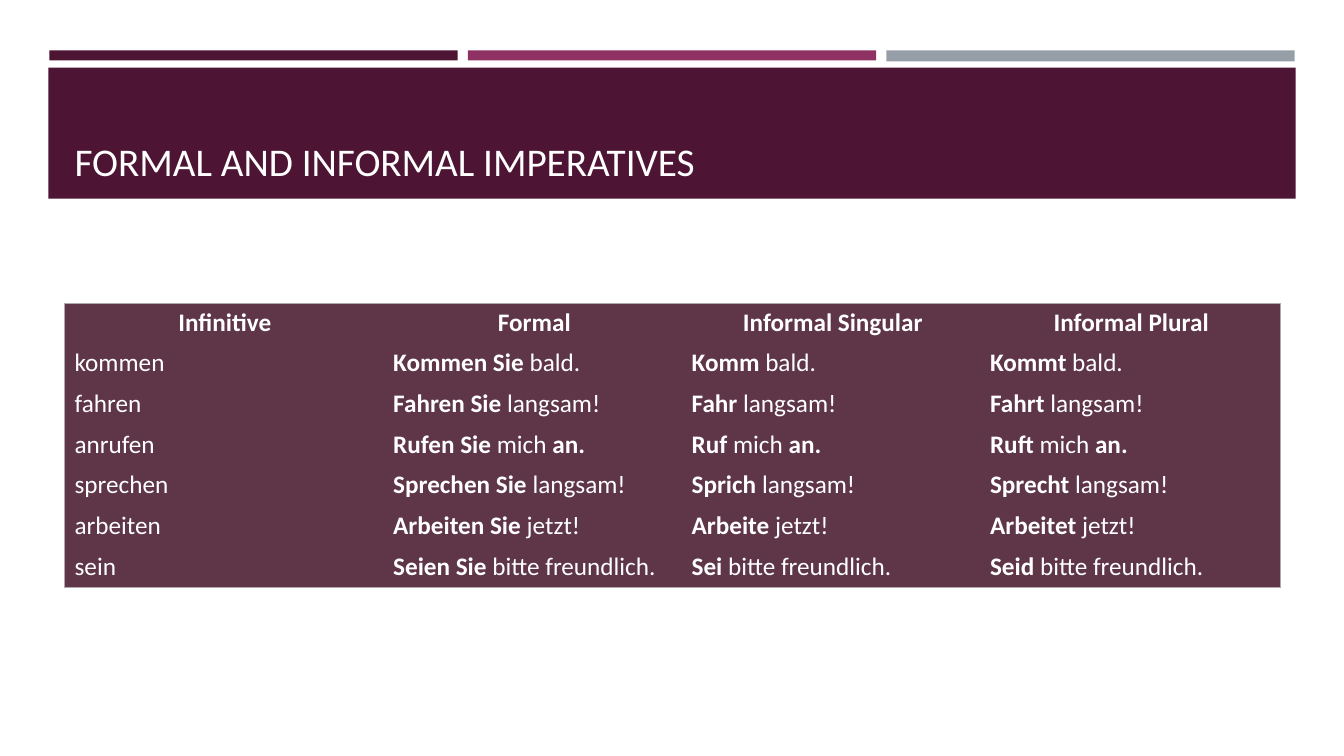
from dataclasses import dataclass

from lxml.etree import SubElement
from pptx import Presentation
from pptx.dml.color import RGBColor
from pptx.enum.shapes import MSO_SHAPE
from pptx.enum.text import MSO_ANCHOR, MSO_AUTO_SIZE, PP_ALIGN
from pptx.oxml.ns import qn
from pptx.shapes.autoshape import Shape
from pptx.slide import Slide
from pptx.table import Table, _Cell
from pptx.text.text import _Paragraph
from pptx.util import Inches, Pt

PLUM = RGBColor(0x4D, 0x14, 0x34)
MAGENTA = RGBColor(0x90, 0x31, 0x63)
GRAY = RGBColor(0x96, 0x9F, 0xA7)
TABLE_FILL = RGBColor(0x5E, 0x36, 0x48)
BORDER = RGBColor(0xB0, 0xA9, 0xAC)
WHITE = RGBColor(0xFF, 0xFF, 0xFF)
FONT = "Calibri"
NO_BREAK_SPACE = chr(160)


@dataclass(frozen=True)
class Band:
    left: float
    top: float
    width: float
    height: float
    color: RGBColor


@dataclass(frozen=True)
class Verb:
    infinitive: str
    imperatives: tuple[str, str, str]
    ending: str
    prefix: str = ""


BANDS = [
    Band(0.49, 0.5, 4.05, 0.1, PLUM),
    Band(4.64, 0.5, 4.05, 0.1, MAGENTA),
    Band(8.79, 0.5, 4.05, 0.11, GRAY),
    Band(0.48, 0.67, 12.37, 1.3, PLUM),
]
HEADINGS = ["Infinitive", "Formal", "Informal Singular", "Informal Plural"]
VERBS = [
    Verb("kommen", ("Kommen Sie", "Komm", "Kommt"), "bald."),
    Verb("fahren", ("Fahren Sie", "Fahr", "Fahrt"), "langsam!"),
    Verb("anrufen", ("Rufen Sie", "Ruf", "Ruft"), "mich" + NO_BREAK_SPACE, "an."),
    Verb("sprechen", ("Sprechen Sie", "Sprich", "Sprecht"), "langsam!"),
    Verb("arbeiten", ("Arbeiten Sie", "Arbeite", "Arbeitet"), "jetzt!"),
    Verb("sein", ("Seien Sie", "Sei", "Seid"), "bitte freundlich."),
]
COLUMN_WIDTHS = [3.18, 2.96, 2.96, 2.96]
ROW_HEIGHTS = [0.38] + [0.4] * len(VERBS)


def add_band(page: Slide, band: Band) -> Shape:
    box = page.shapes.add_shape(
        MSO_SHAPE.RECTANGLE,
        Inches(band.left), Inches(band.top), Inches(band.width), Inches(band.height),
    )
    box.shadow.inherit = False
    box.fill.solid()
    box.fill.fore_color.rgb = band.color
    box.line.fill.background()
    return box


def add_span(para: _Paragraph, text: str, size: int, bold: bool = False) -> None:
    span = para.add_run()
    span.text = text
    span.font.name = FONT
    span.font.size = Pt(size)
    span.font.bold = bold
    span.font.color.rgb = WHITE


def set_insets(cell: _Cell, left: float, right: float, vertical: float) -> None:
    cell.margin_left, cell.margin_right = Inches(left), Inches(right)
    cell.margin_top = cell.margin_bottom = Inches(vertical)


def set_borders(cell: _Cell, outer_sides: dict[str, bool]) -> None:
    """Draw the sides on the table's edge and hide the others."""
    properties = cell._tc.get_or_add_tcPr()
    for position, (side, is_outer) in enumerate(outer_sides.items()):
        line = SubElement(properties, qn(f"a:ln{side}"), w=str(Pt(1)))
        properties.insert(position, line)
        if is_outer:
            fill = SubElement(line, qn("a:solidFill"))
            SubElement(fill, qn("a:srgbClr"), val=str(BORDER))
        else:
            SubElement(line, qn("a:noFill"))


def fill_text(table: Table) -> None:
    for column, heading in enumerate(HEADINGS):
        cell = table.cell(0, column)
        set_insets(cell, 0.06, 0.06, 0.04)
        para = cell.text_frame.paragraphs[0]
        para.alignment = PP_ALIGN.CENTER
        add_span(para, heading, 18, bold=True)
    for row, verb in enumerate(VERBS, start=1):
        add_span(table.cell(row, 0).text_frame.paragraphs[0], verb.infinitive, 18)
        for column, imperative in enumerate(verb.imperatives, start=1):
            cell = table.cell(row, column)
            set_insets(cell, 0.08, 0.1, 0.05)
            para = cell.text_frame.paragraphs[0]
            add_span(para, imperative + NO_BREAK_SPACE, 18, bold=True)
            add_span(para, verb.ending, 18)
            if verb.prefix:
                add_span(para, verb.prefix, 18, bold=True)


def add_verb_table(page: Slide) -> None:
    rows, columns = len(ROW_HEIGHTS), len(COLUMN_WIDTHS)
    table = page.shapes.add_table(
        rows, columns, Inches(0.64), Inches(3.01),
        Inches(sum(COLUMN_WIDTHS)), Inches(sum(ROW_HEIGHTS)),
    ).table
    table.horz_banding = False
    for column, width in zip(table.columns, COLUMN_WIDTHS):
        column.width = Inches(width)
    for row, height in zip(table.rows, ROW_HEIGHTS):
        row.height = Inches(height)
    fill_text(table)
    for row in range(rows):
        for column in range(columns):
            cell = table.cell(row, column)
            cell.fill.solid()
            cell.fill.fore_color.rgb = TABLE_FILL
            set_borders(cell, {
                "L": column == 0, "R": column == columns - 1,
                "T": row == 0, "B": row == rows - 1,
            })


def main() -> None:
    deck = Presentation()
    deck.slide_width, deck.slide_height = Inches(13.33), Inches(7.5)
    page = deck.slides.add_slide(deck.slide_layouts[5])
    title = page.shapes.title

    # Bands, placed behind the title
    for band in BANDS:
        title.element.addprevious(add_band(page, band).element)

    # Title
    title.left, title.top = Inches(0.64), Inches(0.77)
    title.width, title.height = Inches(12.06), Inches(1.11)
    frame = title.text_frame
    frame.auto_size = MSO_AUTO_SIZE.NONE
    frame.vertical_anchor = MSO_ANCHOR.BOTTOM
    para = frame.paragraphs[0]
    para.alignment = PP_ALIGN.LEFT
    add_span(para, "FORMAL AND INFORMAL IMPERATIVES", 28)

    # Table of imperatives
    add_verb_table(page)
    deck.save("out.pptx")


if __name__ == "__main__":
    main()
